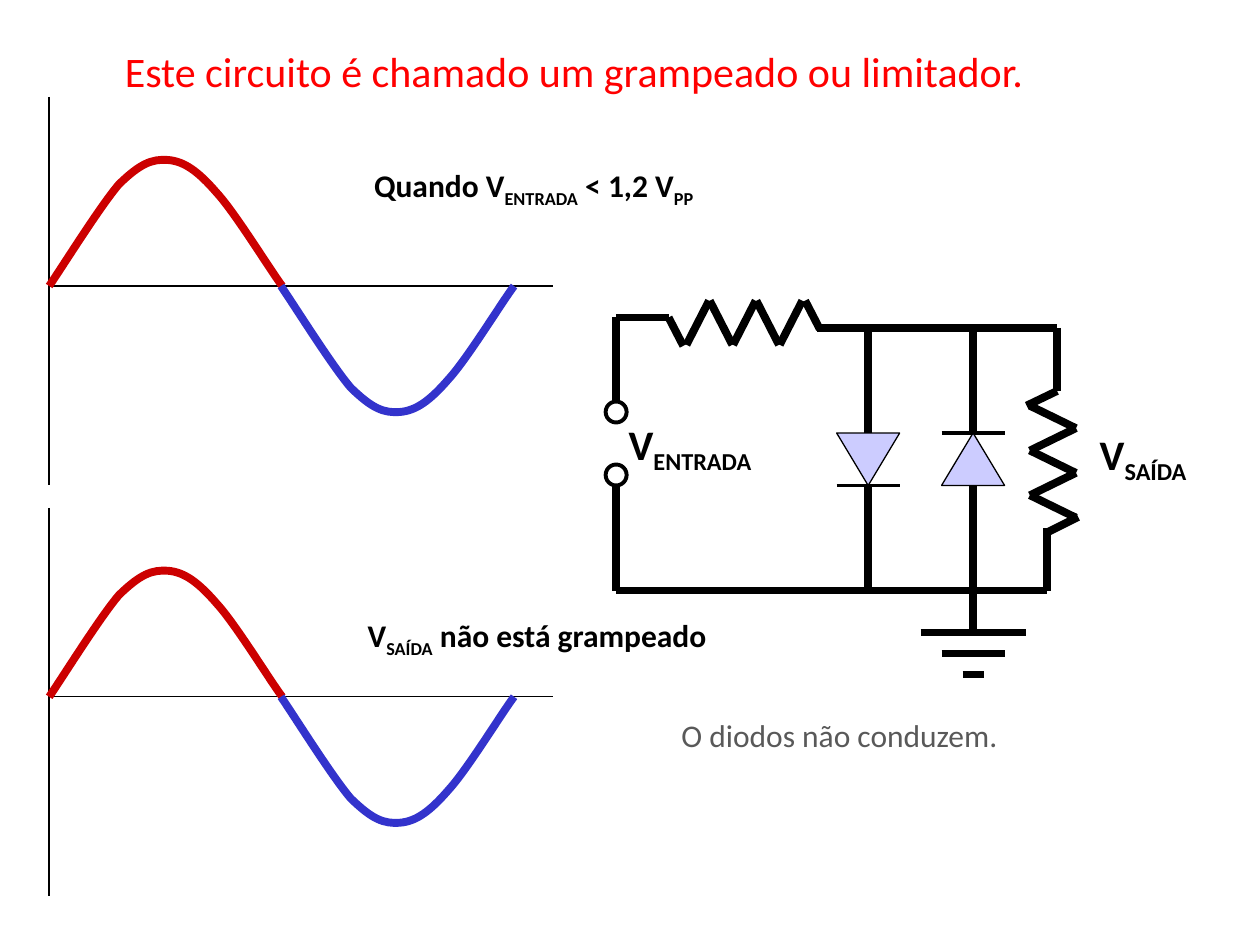
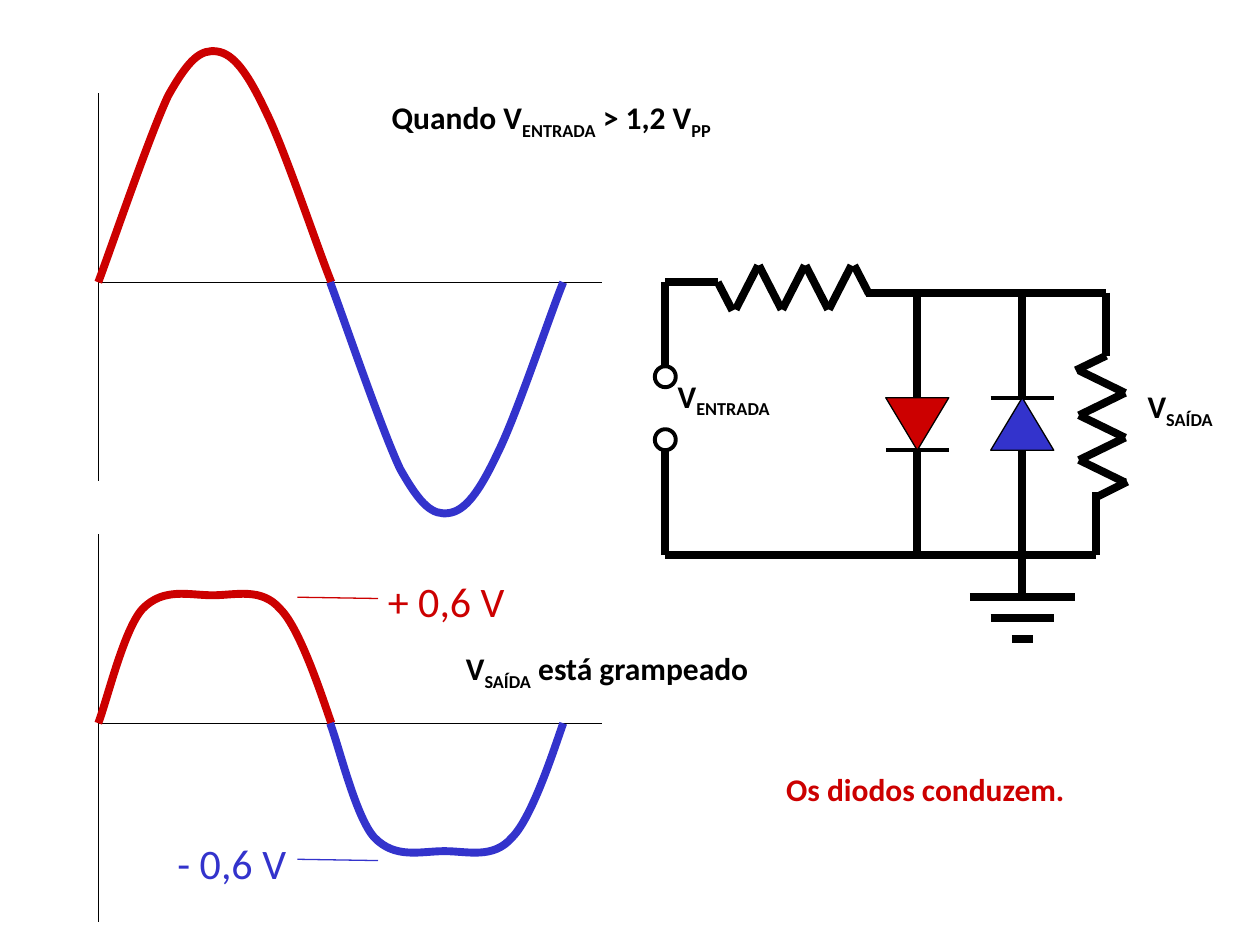
from lxml.etree import SubElement
from pptx import Presentation
from pptx.dml.color import RGBColor
from pptx.enum.shapes import MSO_CONNECTOR, MSO_SHAPE
from pptx.enum.text import MSO_ANCHOR, MSO_AUTO_SIZE, PP_ALIGN
from pptx.oxml.ns import qn
from pptx.util import Inches, Pt

BLACK = RGBColor(0x00, 0x00, 0x00)
GREY = RGBColor(0x59, 0x59, 0x59)
TITLE_RED = RGBColor(0xFF, 0x00, 0x00)
POSITIVE_RED = RGBColor(0xCC, 0x00, 0x00)
NEGATIVE_BLUE = RGBColor(0x33, 0x33, 0xCC)
IDLE_LILAC = RGBColor(0xCC, 0xCC, 0xFF)

FONT = "Calibri"
THIN, MEDIUM, THICK = 0.75, 2.25, 4.5
GRID = 12
HALF_PERIOD = 1.85
TITLE_ONLY, BLANK = 5, 6

SINE = [(0, 0), (0.06, 0.16), (0.22, 0.63), (0.3, 0.8), (0.39, 0.96),
        (0.44, 1), (0.51, 0.99), (0.58, 0.98), (0.64, 0.9), (0.72, 0.73),
        (0.8, 0.57), (0.95, 0.12), (1, 0)]
CLIPPED = [(0, 0), (0.04, 0.18), (0.11, 0.69), (0.19, 0.84), (0.28, 1),
           (0.39, 0.94), (0.49, 0.94), (0.59, 0.94), (0.7, 1), (0.78, 0.84),
           (0.87, 0.69), (0.97, 0.14), (1, 0)]

WIRES = [
    [(5, 0), (0, 0), (0, 8)],
    [(19.1, 1), (42, 1), (42, 7)],
    [(41, 20), (41, 26), (0, 26), (0, 16)],
    [(24, 11), (24, 1)],
    [(34, 11), (34, 1)],
    [(24, 16), (24, 26)],
    [(34, 16), (34, 30)],
    [(29, 30), (39, 30)],
    [(31, 32), (37, 32)],
    [(33, 34), (35, 34)],
]
RESISTOR_LEADS = [
    [(5, 0), (6.4, 2.7)],
    [(18, -1.6), (19.4, 1.1)],
    [(42, 7), (39.1, 8.4)],
    [(44, 19), (41.2, 20.4)],
]


def draw_line(slide, start, end, width=THIN, color=BLACK):
    """Draw a straight line between two points given in inches."""
    line = slide.shapes.add_connector(
        MSO_CONNECTOR.STRAIGHT, *(Inches(v) for v in (*start, *end)))
    line.line.color.rgb = color
    line.line.width = Pt(width)
    SubElement(line._element.spPr, qn("a:effectLst"))


def draw_outline(slide, points, color=BLACK):
    """Draw an open thick freeform through points given in inches."""
    corners = [(Inches(x), Inches(y)) for x, y in points]
    builder = slide.shapes.build_freeform(*corners[0])
    builder.add_line_segments(corners[1:], close=False)
    outline = builder.convert_to_shape()
    outline.fill.background()
    outline.line.color.rgb = color
    outline.line.width = Pt(THICK)
    outline.shadow.inherit = False
    return outline


def bend(outline):
    """Turn each three straight segments of a freeform into a cubic curve."""
    segments = list(outline._element.iter(qn("a:lnTo")))
    track = segments[0].getparent()
    for first in range(0, len(segments), 3):
        curve = SubElement(track, qn("a:cubicBezTo"))
        for segment in segments[first:first + 3]:
            curve.append(segment[0])
            track.remove(segment)


def draw_half_wave(slide, left, zero, height, controls, color):
    """Draw half a period; a negative height points downwards."""
    points = [(left + u * HALF_PERIOD, zero - v * height)
              for u, v in controls]
    bend(draw_outline(slide, points, color))


def draw_signal(slide, left, zero, amplitude, controls=SINE):
    """Draw both axes and one period of a voltage."""
    draw_line(slide, (left, zero), (left + 4, zero))
    draw_line(slide, (left, zero - 1.5), (left, zero + 1.58))
    draw_half_wave(slide, left, zero, amplitude, controls, POSITIVE_RED)
    draw_half_wave(slide, left + HALF_PERIOD - 0.01, zero, -amplitude,
                   controls, NEGATIVE_BLUE)


def write_runs(frame, runs, size, color, bold):
    """Fill a text frame with runs; a run starting with _ is a subscript."""
    paragraph = frame.paragraphs[0]
    paragraph.alignment = PP_ALIGN.LEFT
    for words in runs:
        run = paragraph.add_run()
        run.text = words.removeprefix("_")
        run.font.name = FONT
        run.font.size = Pt(size)
        run.font.bold = bold
        run.font.color.rgb = color
        if words.startswith("_"):
            run._r.get_or_add_rPr().set("baseline", "-25000")


def add_label(slide, box, runs, size=18, color=BLACK, bold=True,
              anchor=MSO_ANCHOR.TOP):
    """Add a text box at left, top, width, height in inches."""
    frame = slide.shapes.add_textbox(*(Inches(v) for v in box)).text_frame
    frame.word_wrap = True
    frame.vertical_anchor = anchor
    write_runs(frame, runs, size, color, bold)


def set_title(slide, box, words):
    """Place and format the title placeholder."""
    title = slide.shapes.title
    title.left, title.top, title.width, title.height = (Inches(v) for v in box)
    title.text_frame.auto_size = MSO_AUTO_SIZE.NONE
    title.text_frame.word_wrap = True
    title.text_frame.vertical_anchor = MSO_ANCHOR.MIDDLE
    write_runs(title.text_frame, [words], 24, TITLE_RED, False)


def resistor_strokes(start, pitch, low, high):
    """Return the five alternating strokes of a resistor along its axis."""
    strokes = []
    for turn in range(5):
        near = start + pitch * turn
        ends = (low, high) if turn % 2 == 0 else (high, low)
        strokes.append([(near, ends[0]), (near + 2.15, ends[1])])
    return strokes


def draw_circuit(slide, origin, down_color, up_color):
    """Draw the limiter on a grid of twelfths of an inch from its corner."""
    def place(point):
        return tuple(o + p / GRID for o, p in zip(origin, point))

    def add_part(kind, col, row, cols, rows, width):
        part = slide.shapes.add_shape(
            kind, *(Inches(v) for v in place((col, row))),
            Inches(cols / GRID), Inches(rows / GRID))
        part.shadow.inherit = False
        part.line.color.rgb = BLACK
        part.line.width = Pt(width)
        return part

    series = resistor_strokes(6.7, 2.22, 2.6, -1.6)
    load = [[(row, col) for col, row in stroke]
            for stroke in resistor_strokes(8.4, 2.13, 39.4, 43.8)]
    for wire in WIRES + series + load:
        for start, end in zip(wire, wire[1:]):
            draw_line(slide, place(start), place(end), THICK)
    for lead in RESISTOR_LEADS:
        draw_outline(slide, [place(point) for point in lead])
    for row in (8, 14):
        add_part(MSO_SHAPE.OVAL, -1, row, 2, 2, MEDIUM).fill.background()
    for col, bar_row, turn, color in ((21, 16, 180, down_color),
                                      (31, 11, 0, up_color)):
        draw_line(slide, place((col, bar_row)), place((col + 6, bar_row)),
                  MEDIUM)
        diode = add_part(MSO_SHAPE.ISOSCELES_TRIANGLE, col, 11, 6, 5, THIN)
        diode.rotation = turn
        diode.fill.solid()
        diode.fill.fore_color.rgb = color


def build_unclamped(deck):
    """Build the slide where the diodes do not conduct."""
    slide = deck.slides.add_slide(deck.slide_layouts[TITLE_ONLY])
    set_title(slide, (0.89, 0.31, 7.39, 0.5),
              "Este circuito é chamado um grampeado ou limitador.")
    for zero in (2.27, 5.53):
        draw_signal(slide, 0.39, zero, 1.01)
    draw_circuit(slide, (4.89, 2.52), IDLE_LILAC, IDLE_LILAC)
    add_label(slide, (4.89, 3.27, 1.55, 0.51), ["V", "_ENTRADA"], 24)
    add_label(slide, (8.63, 3.35, 1.14, 0.51), ["V", "_SAÍDA"], 24)
    add_label(slide, (2.87, 1.27, 4.82, 0.57),
              ["Quando V", "_ENTRADA", " < 1,2 V", "_PP"])
    add_label(slide, (2.82, 4.84, 4.74, 0.57),
              ["V", "_SAÍDA", " não está grampeado"])
    add_label(slide, (5.31, 5.63, 2.74, 0.4), ["O diodos não conduzem."],
              color=GREY, bold=False)


def build_clamped(deck):
    """Build the slide where the diodes conduct and clip the output."""
    slide = deck.slides.add_slide(deck.slide_layouts[BLANK])
    draw_signal(slide, 0.78, 2.24, 1.85)
    draw_signal(slide, 0.78, 5.74, 1.08, CLIPPED)
    draw_circuit(slide, (5.28, 2.24), POSITIVE_RED, NEGATIVE_BLUE)
    add_label(slide, (5.28, 2.94, 1.78, 0.57), ["V", "_ENTRADA"])
    add_label(slide, (9.01, 3.02, 0.95, 0.57), ["V", "_SAÍDA"])
    add_label(slide, (3.01, 0.73, 4.82, 0.57),
              ["Quando V", "_ENTRADA", " > 1,2 V", "_PP"])
    add_label(slide, (3.6, 5.1, 4.03, 0.57),
              ["V", "_SAÍDA", " está grampeado"])
    add_label(slide, (6.14, 6.06, 3.71, 0.52), ["Os diodos conduzem."],
              color=POSITIVE_RED)
    for level, box, row, color in (
            ("+ 0,6 V", (2.98, 4.51, 1.22, 0.51), 4.74, POSITIVE_RED),
            ("- 0,6 V", (1.31, 6.59, 1.14, 0.51), 6.82, NEGATIVE_BLUE)):
        draw_line(slide, (2.36, row), (3, row + 0.01), THIN, color)
        add_label(slide, box, [level], 24, color, False, MSO_ANCHOR.MIDDLE)


def main():
    """Build both slides and save the deck."""
    deck = Presentation()
    deck.slide_width, deck.slide_height = Inches(10), Inches(7.5)
    build_unclamped(deck)
    build_clamped(deck)
    deck.save("out.pptx")


if __name__ == "__main__":
    main()
